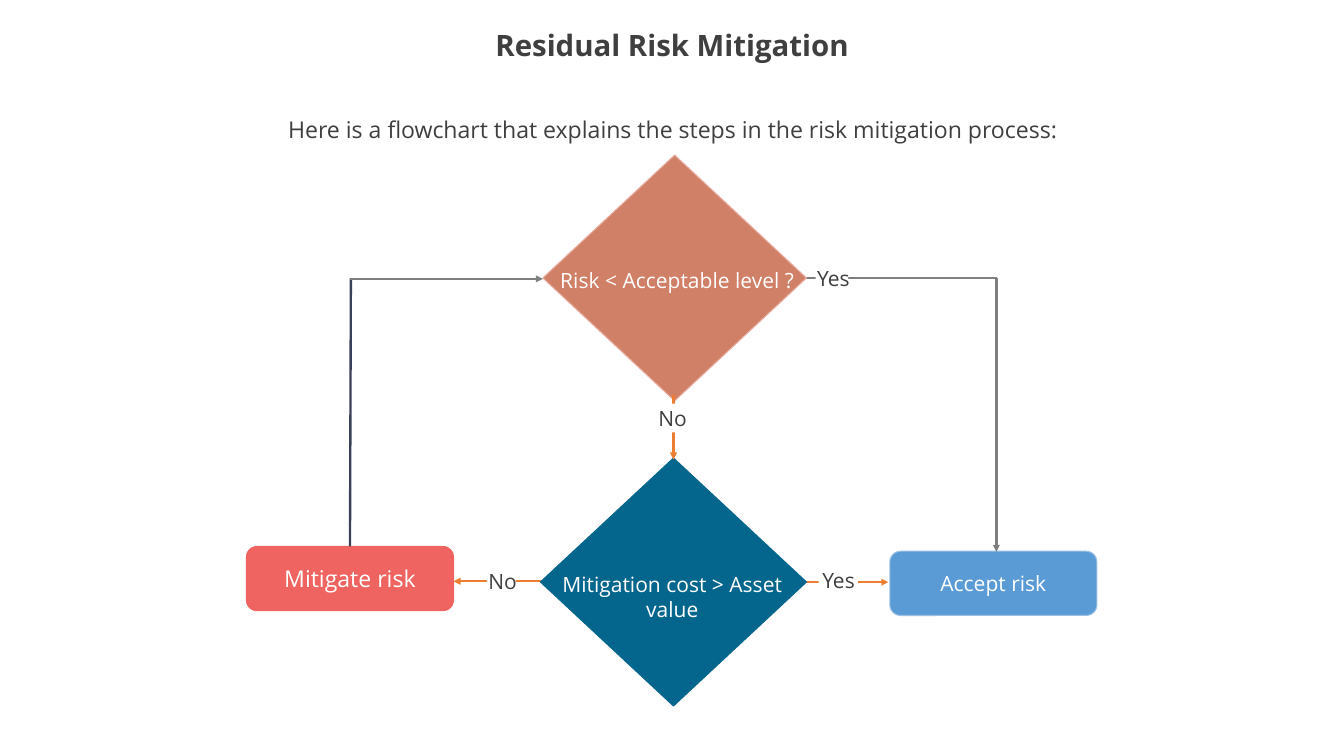
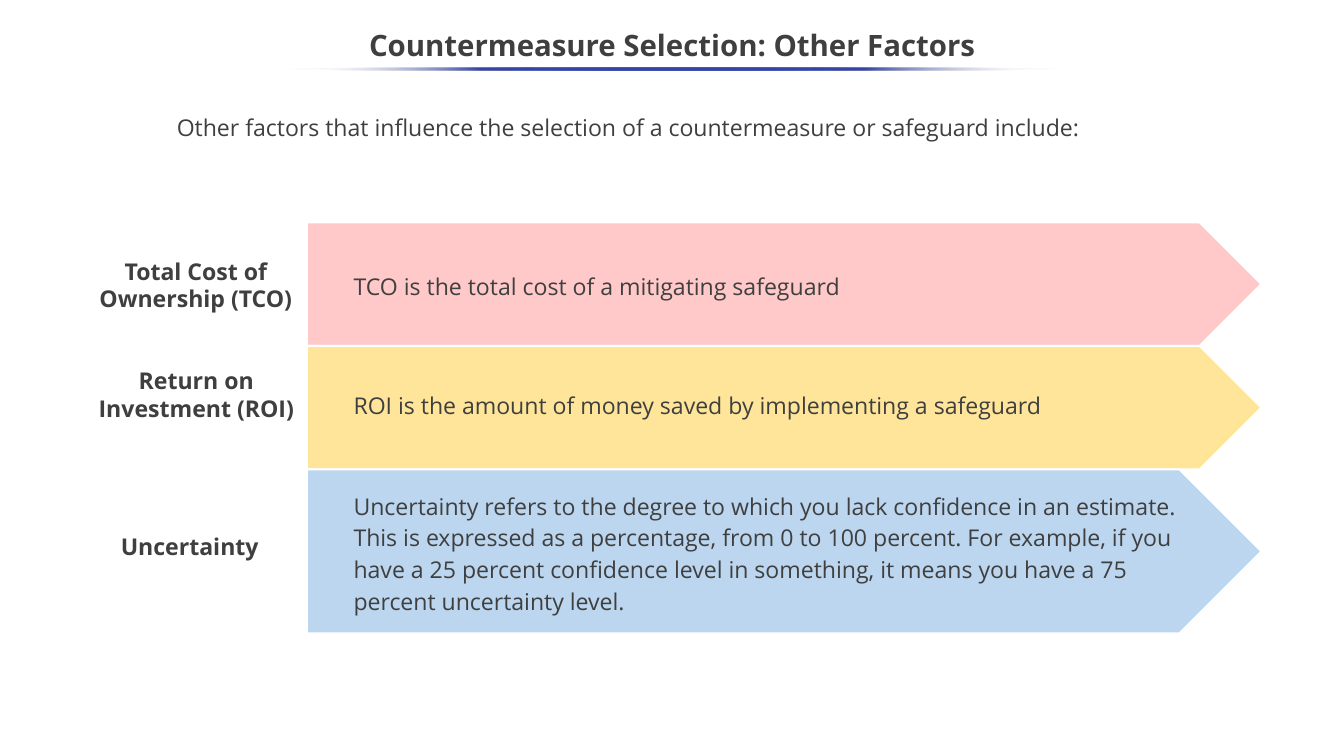
from lxml import etree
from pptx import Presentation
from pptx import util as u
from pptx.dml.color import RGBColor
from pptx.enum import shapes as kinds, text as t
from pptx.oxml import parse_xml
from pptx.oxml.ns import nsdecls, qn

FONT = "Open Sans"
COLORS = {
    "text": "3F3F3F", "white": "FFFFFF", "grey": "7F7F7F", "orange": "ED7D31",
    "navy": "3A405A", "terracotta": "D08066", "terracotta_edge": "E9AFA3",
    "teal": "05668D", "blue": "5B9BD5", "blue_edge": "9CC2E5", "coral": "EF6461",
    "pink": "FFC9C9", "yellow": "FEE599", "pale_blue": "BBD6EE", "rule": "3645A9",
}
SLIDE_WIDTH, SLIDE_HEIGHT = 45.16, 25.4
BOX_INSETS = (0.25, 0.13)
LABEL_INSETS = (0.05, 0.05)
CENTER, LEFT = t.PP_ALIGN.CENTER, t.PP_ALIGN.LEFT
TOP, MIDDLE = t.MSO_ANCHOR.TOP, t.MSO_ANCHOR.MIDDLE
SHAPE = kinds.MSO_SHAPE


def rgb(name):
    return RGBColor.from_string(COLORS[name])


def write(shape, content, size, color="text", bold=False, align=LEFT,
          anchor=TOP, insets=BOX_INSETS, spacing=None):
    """Fill a shape with text; each line break in content starts a paragraph."""
    frame = shape.text_frame
    frame.text = content
    frame.word_wrap = True
    frame.vertical_anchor = anchor
    frame.margin_left = frame.margin_right = u.Cm(insets[0])
    frame.margin_top = frame.margin_bottom = u.Cm(insets[1])
    for paragraph in frame.paragraphs:
        paragraph.alignment = align
        if spacing:
            paragraph.line_spacing = spacing
        for run in paragraph.runs:
            run.font.name = FONT
            run.font.size = u.Pt(size)
            run.font.bold = bold
            run.font.color.rgb = rgb(color)


def add_text(slide, box, content, size=22, **style):
    shape = slide.shapes.add_textbox(*map(u.Cm, box))
    write(shape, content, size, **style)


def add_block(slide, kind, box, fill, edge=None, edge_width=1):
    shape = slide.shapes.add_shape(kind, *map(u.Cm, box))
    shape.shadow.inherit = False
    shape.fill.solid()
    shape.fill.fore_color.rgb = rgb(fill)
    if edge:
        shape.line.color.rgb = rgb(edge)
        shape.line.width = u.Pt(edge_width)
    else:
        shape.line.fill.background()
    return shape


def add_line(slide, start, end, color, arrow=True):
    line = slide.shapes.add_connector(
        kinds.MSO_CONNECTOR.STRAIGHT, *map(u.Cm, start + end))
    line.line.color.rgb = rgb(color)
    line.line.width = u.Pt(2.25)
    if arrow:
        outline = line.line._get_or_add_ln()
        etree.SubElement(outline, qn("a:tailEnd"), type="triangle")
    etree.SubElement(line._element.spPr, qn("a:effectLst"))


def add_title(slide, content):
    add_text(slide, (0, 0.64, SLIDE_WIDTH, 1.9), content, 28, bold=True,
             align=CENTER, anchor=MIDDLE, spacing=0.9)


def add_title_rule(slide):
    """Thin ellipse below the title that fades out at both ends."""
    rule = add_block(slide, SHAPE.OVAL, (9.7, 2.26, 25.81, 0.1), "rule")
    stops = "".join(
        f'<a:gs pos="{position}000"><a:srgbClr val="{COLORS[color]}">'
        f'<a:alpha val="{alpha}000"/></a:srgbClr></a:gs>'
        for position, color, alpha in [
            (0, "white", 0), (25, "rule", 100), (50, "rule", 100),
            (75, "rule", 100), (100, "white", 0)])
    gradient = parse_xml(
        f'<a:gradFill {nsdecls("a")}><a:gsLst>{stops}</a:gsLst>'
        '<a:lin ang="10800000" scaled="0"/></a:gradFill>')
    properties = rule._element.spPr
    properties.replace(properties.find(qn("a:solidFill")), gradient)


def add_decision(slide, box, fill, edge, text_box, question):
    add_block(slide, SHAPE.DIAMOND, box, fill, edge)
    add_text(slide, text_box, question, 20, color="white", align=CENTER,
             anchor=MIDDLE, insets=LABEL_INSETS)


def add_outcome(slide, left, top, fill, edge, content, size):
    box = add_block(slide, SHAPE.ROUNDED_RECTANGLE, (left, top, 6.96, 2.16), fill, edge)
    write(box, content, size, color="white", align=CENTER, anchor=MIDDLE,
          insets=(0.13, 0.13))


def add_answer(slide, patch, text_left, text_top, answer):
    """Put an answer on a line, over a white patch (left, top, width)."""
    add_block(slide, SHAPE.RECTANGLE, (*patch, 0.97), "white")
    add_text(slide, (text_left, text_top, 1.5, 0.97), answer, 20, insets=LABEL_INSETS)


def build_flowchart(slide):
    add_title(slide, "Residual Risk Mitigation")
    add_line(slide, (26.8, 9.35), (33.5, 9.35), "grey", arrow=False)
    add_line(slide, (18.39, 19.53), (15.24, 19.53), "orange")
    add_line(slide, (26.9, 19.56), (29.85, 19.56), "orange")
    add_decision(slide, (18.24, 5.21, 8.86, 8.26), "terracotta", "terracotta_edge",
                 (18.26, 8.94, 8.99, 0.97), "Risk < Acceptable level ?")
    add_decision(slide, (18.16, 15.39, 8.94, 8.33), "teal", "teal",
                 (18.21, 19.13, 8.76, 1.83), "Mitigation cost > Asset\nvalue")
    add_outcome(slide, 29.9, 18.52, "blue", "blue_edge", "Accept risk", 20)
    add_outcome(slide, 8.28, 18.36, "coral", "coral", "Mitigate risk", 22)
    add_line(slide, (33.48, 9.35), (33.48, 18.54), "grey")
    add_line(slide, (22.63, 13.28), (22.63, 15.44), "orange")
    add_line(slide, (11.76, 18.36), (11.79, 9.35), "navy", arrow=False)
    add_line(slide, (11.76, 9.37), (18.24, 9.37), "grey")
    add_answer(slide, (27.41, 8.79, 1.09), 27.41, 8.86, "Yes")
    add_answer(slide, (22.07, 13.56, 0.97), 22.07, 13.56, "No")
    add_answer(slide, (27.51, 19.02, 1.32), 27.58, 19.02, "Yes")
    add_answer(slide, (16.36, 18.97, 0.97), 16.36, 19.05, "No")
    add_text(slide, (8.23, 3.76, 28.75, 1.19),
             "Here is a flowchart that explains the steps in the risk mitigation process:",
             align=CENTER)


def build_factors(slide):
    add_title(slide, "Countermeasure Selection: Other Factors")
    add_title_rule(slide)
    add_text(slide, (5.69, 3.68, 33.76, 1.19),
             "Other factors that influence the selection of a countermeasure "
             "or safeguard include:")
    factors = [
        ("pink", 4.15, "Total Cost of Ownership (TCO)", (2.72, 8.51, 7.72, 2.13), CENTER,
         "TCO is the total cost of a mitigating safeguard", 8.89, 1.32),
        ("yellow", 4.15, "Return on Investment (ROI)", (2.77, 12.19, 7.65, 2.13), CENTER,
         "ROI is the amount of money saved by implementing a safeguard", 12.88, 1.32),
        ("pale_blue", 5.51, "Uncertainty", (3.81, 17.75, 5.56, 1.19), LEFT,
         "Uncertainty refers to the degree to which you lack confidence in an estimate. "
         "This is expressed as a percentage, from 0 to 100 percent. For example, if you "
         "have a 25 percent confidence level in something, it means you have a 75 "
         "percent uncertainty level.", 16.28, 4.55),
    ]
    top = 7.47
    for fill, height, name, name_box, align, meaning, meaning_top, meaning_height in factors:
        add_block(slide, SHAPE.PENTAGON, (10.31, top, 32.08, height), fill, "white", 2)
        add_text(slide, name_box, name, bold=True, align=align)
        add_text(slide, (11.63, meaning_top, 28.27, meaning_height), meaning, spacing=1.14)
        top += height


def main():
    presentation = Presentation()
    presentation.slide_width = u.Cm(SLIDE_WIDTH)
    presentation.slide_height = u.Cm(SLIDE_HEIGHT)
    blank = presentation.slide_layouts[6]
    for build in (build_flowchart, build_factors):
        build(presentation.slides.add_slide(blank))
    presentation.save("out.pptx")


if __name__ == "__main__":
    main()
